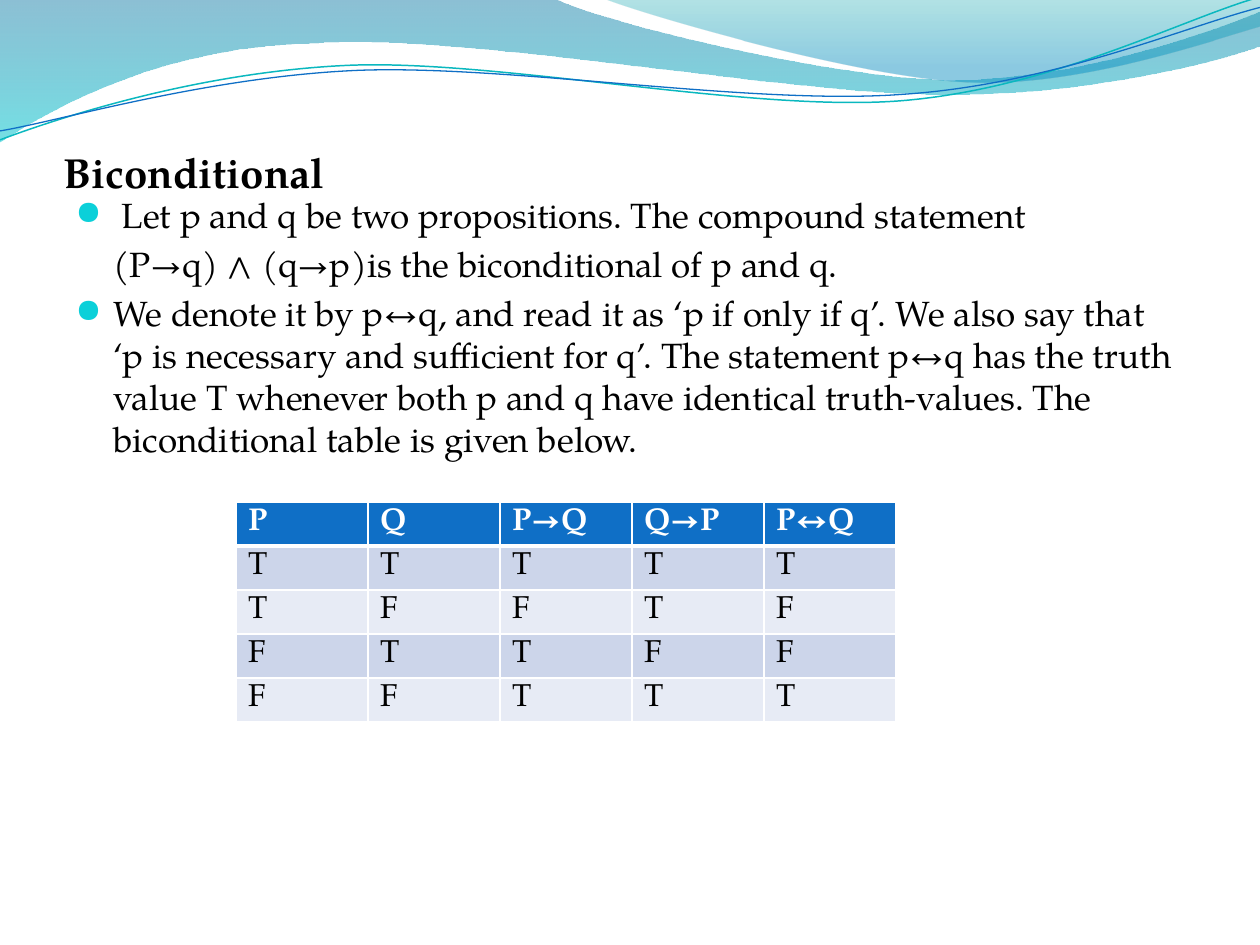
import collections

import pptx
import pptx.dml.color
import pptx.enum.text
import pptx.oxml
import pptx.oxml.ns
import pptx.util
from lxml import etree

Cm, Pt = pptx.util.Cm, pptx.util.Pt
RGB = pptx.dml.color.RGBColor.from_string
qn = pptx.oxml.ns.qn
Box = collections.namedtuple("Box", "left top width height")


class Theme:
    font, bullet_font = "TeX Gyre Pagella", "OpenSymbol"
    text, white, bullet = "000000", "FFFFFF", "0BD0D9"
    header, bands = "0F6FC6", ("CCD5EA", "E7EBF5")
    title_size, body_size, table_size = 24, 20, 18


# Each wave is a start point, then segments: 2 numbers for a line, 6 for a curve.
# Gradient stops are (position, colour, opacity in percent).
FILLED_WAVES = [
    ([(0, 0), (11.18, -0.03), (12.09, 0.43, 16.87, 1.6, 19.25, 1.6),
      (21.67, 1.6, 24.33, 0.66, 25.4, 0.23), (25.43, 0.91),
      (24.97, 1.12, 22.1, 1.93, 18.95, 1.9), (15.8, 1.9, 9.7, 0.71, 6.53, 0.86),
      (3.28, 0.91, 1.17, 2.11, -0.03, 2.87), (0, 0)],
     [(0, "0074A1", 45), (1, "00C6CF", 55)]),
    ([(12.17, -0.03), (12.93, 0.28, 17.32, 1.57, 19.53, 1.65),
      (21.74, 1.75, 24.41, 0.81, 25.4, 0.53), (25.4, 0), (12.17, -0.03)],
     [(0, "00A1A9", 30), (0.8, "008BBF", 45)]),
]
LINE_TILT = 357.3
LINE_WAVES = [
    ([(-0.05, 2.22), (1.19, 1.82, 4.02, 1.04, 7.05, 1.05),
      (10.05, 1.07, 15.02, 2.37, 18.08, 2.29),
      (21.13, 2.2, 23.87, 0.91, 25.41, 0.55)], "0AB8BF", 0.85),
    ([(-0.04, 2.04), (1.16, 1.9, 4.18, 1.15, 7.2, 1.16),
      (10.25, 1.18, 15.13, 2.25, 18.19, 2.16),
      (21.21, 2.1, 23.93, 1.06, 25.45, 0.75)], "0F6FC6", 0.75),
]
# Body paragraphs as (has bullet, text)
BODY = [
    (True, " Let p and q be two propositions. The compound statement"),
    (False, "(P→q) ∧ (q→p)is the biconditional of p and q."),
    (True, "We denote it by p↔q, and read it as ‘p if only if q’. We also say that "
           "‘p is necessary and sufficient for q’. The statement p↔q has the truth "
           "value T whenever both p and q have identical truth-values. "
           "The biconditional table is given below."),
]
TRUTH_TABLE = [["P", "Q", "P→Q", "Q→P", "P↔Q"],
               *map(list, ("TTTTT", "TFFTF", "FTTFF", "FFTTT"))]


def set_all(obj, values):
    for name, value in values.items():
        setattr(obj, name, value)


def add_run(p, text, size, color=Theme.text, bold=False):
    r = p.add_run()
    r.text = text
    set_all(r.font, {"name": Theme.font, "size": Pt(size), "bold": bold})
    r.font.color.rgb = RGB(color)


def add_textbox(s, box, values):
    tf = s.shapes.add_textbox(*map(Cm, box)).text_frame
    set_all(tf, {"word_wrap": True, **values})
    return tf


def add_wave(s, box, wave, close):
    """Build a freeform through the end points, then bend its curved segments."""
    segments = [[(Cm(box.left + x), Cm(box.top + y)) for x, y in zip(seg[::2], seg[1::2])]
                for seg in wave]
    builder = s.shapes.build_freeform(*segments[0][0])
    builder.add_line_segments([seg[-1] for seg in segments[1:]], close=close)
    sp = builder.convert_to_shape()
    sp.shadow.inherit = False
    lines = list(sp.element.spPr.iter(qn("a:lnTo")))
    for line, seg in zip(lines, segments[1:]):
        if len(seg) == 3:
            curve = etree.Element(qn("a:cubicBezTo"))
            for x, y in seg:
                etree.SubElement(curve, qn("a:pt"), x=str(x - sp.left), y=str(y - sp.top))
            line.getparent().replace(line, curve)
    return sp


def add_waves(s, box):
    for wave, stops in FILLED_WAVES:
        sp = add_wave(s, box, wave, True)
        sp.line.fill.background()
        sp.fill.gradient()
        sp.fill.gradient_angle = 270
        for stop, (position, color, _) in zip(sp.fill.gradient_stops, stops):
            stop.position = position
            stop.color.rgb = RGB(color)
        colors = sp.element.spPr.iter(qn("a:srgbClr"))
        for clr, (_, _, opacity) in zip(colors, stops):
            etree.SubElement(clr, qn("a:alpha"), val=str(opacity * 1000))
    for wave, color, width in LINE_WAVES:
        sp = add_wave(s, box, wave, False)
        sp.rotation = LINE_TILT
        sp.fill.background()
        sp.line.color.rgb = RGB(color)
        sp.line.width = Pt(width)


def add_title(s, box):
    tf = add_textbox(s, box, {
        "vertical_anchor": pptx.enum.text.MSO_ANCHOR.BOTTOM,
        "margin_left": 0, "margin_right": 0, "margin_bottom": 0})
    add_run(tf.paragraphs[0], "Biconditional", Theme.title_size, bold=True)


def add_bullet(pPr):
    color = etree.SubElement(pPr, qn("a:buClr"))
    etree.SubElement(color, qn("a:srgbClr"), val=Theme.bullet)
    etree.SubElement(pPr, qn("a:buSzPct"), val="95000")
    etree.SubElement(pPr, qn("a:buFont"), typeface=Theme.bullet_font)
    etree.SubElement(pPr, qn("a:buChar"), char="●")


def add_body(s, box):
    tf = add_textbox(s, box, {})
    hang = Cm(0.76)
    for i, (bulleted, text) in enumerate(BODY):
        p = tf.add_paragraph() if i else tf.paragraphs[0]
        p.space_before = Pt(Theme.body_size * 0.2)
        pPr = p._p.get_or_add_pPr()
        pPr.set("marL", str(hang))
        pPr.set("indent", str(-hang if bulleted else 0))
        if bulleted:
            add_bullet(pPr)
        add_run(p, text, Theme.body_size)


def set_borders(cell, widths):
    tcPr = cell._tc.get_or_add_tcPr()
    for i, (side, width) in enumerate(widths.items()):
        ln = pptx.oxml.parse_xml(
            f'<a:ln{side} xmlns:a="http://schemas.openxmlformats.org/drawingml/2006/main" '
            f'w="{Pt(width)}"><a:solidFill><a:srgbClr val="{Theme.white}"/>'
            f'</a:solidFill></a:ln{side}>')
        tcPr.insert(i, ln)


def add_truth_table(s, box):
    rows, cols = len(TRUTH_TABLE), len(TRUTH_TABLE[0])
    table = s.shapes.add_table(rows, cols, *map(Cm, box)).table
    for i, values in enumerate(TRUTH_TABLE):
        head = i == 0
        for j, value in enumerate(values):
            cell = table.cell(i, j)
            set_all(cell, {"margin_left": Cm(0.25), "margin_right": Cm(0.25),
                           "margin_top": Cm(0.12), "margin_bottom": 0})
            cell.fill.solid()
            cell.fill.fore_color.rgb = RGB(Theme.header if head else Theme.bands[(i - 1) % 2])
            set_borders(cell, {"L": 1, "R": 1, "T": 3 if i == 1 else 1, "B": 3 if head else 1})
            add_run(cell.text_frame.paragraphs[0], value, Theme.table_size,
                    Theme.white if head else Theme.text, head)


def main():
    prs = pptx.Presentation()
    set_all(prs, {"slide_width": Cm(25.4), "slide_height": Cm(19.05)})
    s = prs.slides.add_slide(prs.slide_layouts[6])
    add_waves(s, Box(0, 0, 25.4, 2.87))
    add_title(s, Box(1.28, 2.37, 22.86, 1.6))
    add_body(s, Box(1.27, 3.78, 22.86, 13.79))
    add_truth_table(s, Box(4.76, 10.12, 13.3, 4.43))
    prs.save("out.pptx")


if __name__ == "__main__":
    main()
